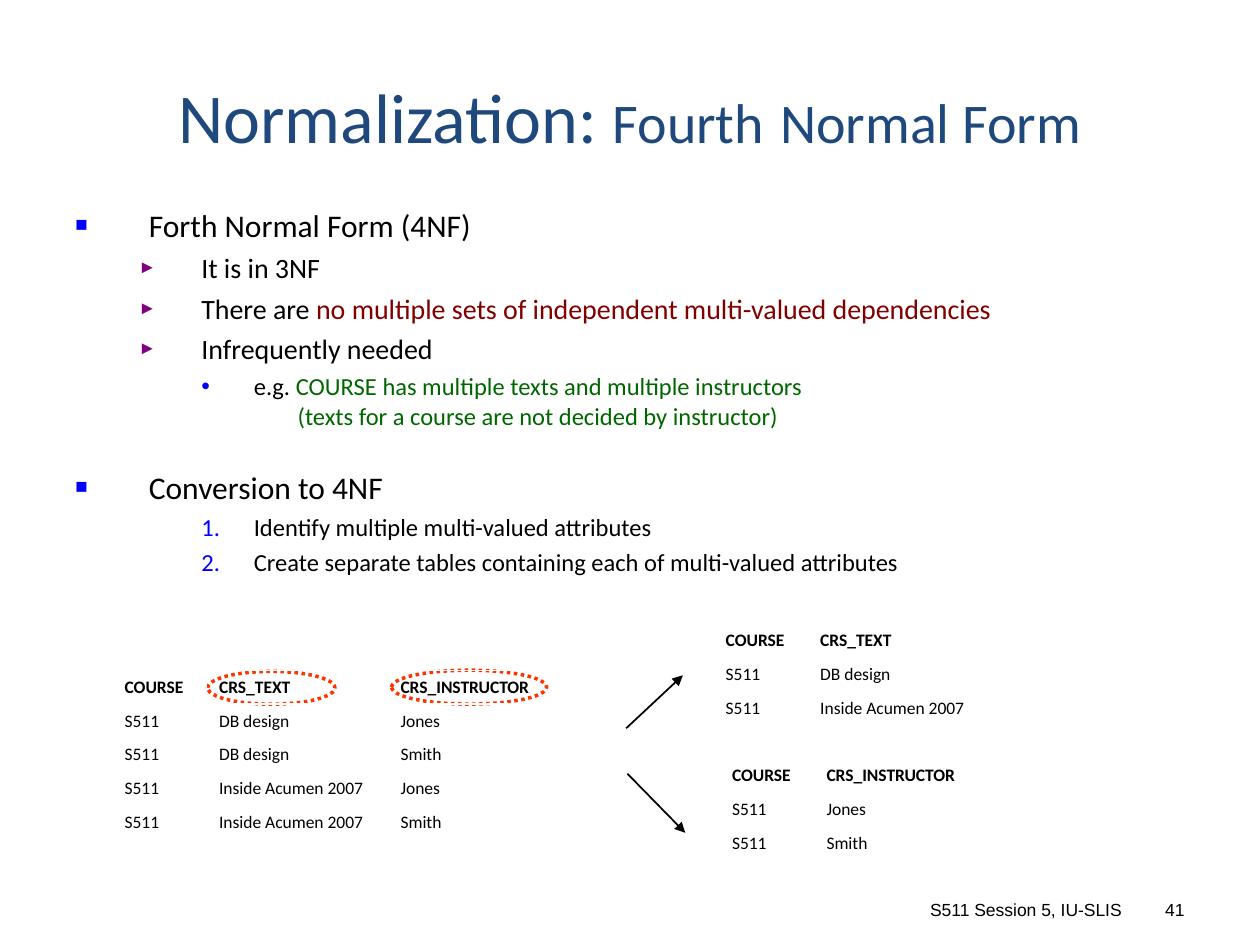
from lxml.etree import SubElement as Sub
from pptx import Presentation
from pptx.dml.color import RGBColor
from pptx.enum.dml import MSO_LINE as Dash
from pptx.enum.shapes import MSO_CONNECTOR as Link, MSO_SHAPE as Shape
from pptx.enum.text import MSO_ANCHOR as Anchor, PP_ALIGN as Align
from pptx.oxml.ns import qn
from pptx.util import Pt

BLACK = RGBColor(0x00, 0x00, 0x00)
WHITE = RGBColor(0xFF, 0xFF, 0xFF)
NAVY = RGBColor(0x1F, 0x49, 0x7D)
BLUE = RGBColor(0x00, 0x00, 0xFF)
PURPLE = RGBColor(0x80, 0x00, 0x80)
MAROON = RGBColor(0x80, 0x00, 0x00)
GREEN = RGBColor(0x00, 0x66, 0x00)
RED = RGBColor(0xFF, 0x33, 0x00)

ROW = 19.4
THIN, THICK = 0.45, 1.47

# Outline styles: level, left margin, hanging indent, space before, size,
# bullet, bullet colour, bullet size in percent
STYLES = {
    "head": (0, 42, 42, 4.5, 18, "■", BLUE, 65),
    "point": (1, 72, 36, 4, 16, "►", PURPLE, 65),
    "note": (2, 102, 30, 3.5, 14, "•", BLUE, 100),
    "more": (2, 127, 0, 0, 14, None, None, None),
    "step": (2, 102, 30, 3.5, 14, "1.", BLUE, 100),
}

OUTLINE = [
    ("head", [("Forth Normal Form (4NF)", BLACK)]),
    ("point", [("It is in 3NF", BLACK)]),
    ("point", [("There are ", BLACK),
               ("no multiple sets of independent multi-valued dependencies", MAROON)]),
    ("point", [("Infrequently needed", BLACK)]),
    ("note", [("e.g. ", BLACK),
              ("COURSE has multiple texts and multiple instructors", GREEN)]),
    ("more", [("(texts for a course are not decided by instructor)", GREEN)]),
    ("head", [("Conversion to 4NF", BLACK)]),
    ("step", [("Identify multiple multi-valued attributes", BLACK)]),
    ("step", [("Create separate tables containing each of multi-valued attributes", BLACK)]),
]

BOOKS = ["DB design", "Inside Acumen 2007"]
STAFF = ["Jones", "Smith"]


def write(para, text, size=10, color=BLACK, font="Calibri", bold=False):
    run = para.add_run()
    run.text = text
    face = run.font
    face.size, face.name, face.bold = Pt(size), font, bold
    face.color.rgb = color


def frame(slide, box, anchor=Anchor.TOP):
    """Add a wrapping text box and return its text frame."""
    body = slide.shapes.add_textbox(*map(Pt, box)).text_frame
    body.word_wrap = True
    body.vertical_anchor = anchor
    return body


def title(slide, box):
    para = frame(slide, box, Anchor.MIDDLE).paragraphs[0]
    para.alignment = Align.CENTER
    for text, size in (("Normalization: ", 40), ("Fourth", 32),
                       (" ", 40), ("Normal Form", 32)):
        write(para, text, size=size, color=NAVY)


def bullet(props, mark, color, scale):
    """Give a paragraph a character bullet, or a number for the mark 1."""
    tint = Sub(props, qn("a:buClr"))
    Sub(tint, qn("a:srgbClr"), val=str(color))
    Sub(props, qn("a:buSzPct"), val=str(scale * 1000))
    Sub(props, qn("a:buFont"), typeface="Calibri" if mark == "1." else "Arial")
    if mark == "1.":
        Sub(props, qn("a:buAutoNum"), type="arabicPeriod")
    else:
        Sub(props, qn("a:buChar"), char=mark)


def outline(slide, box):
    body = frame(slide, box)
    last = None
    for i, (style, runs) in enumerate(OUTLINE):
        para = body.add_paragraph() if i else body.paragraphs[0]
        level, left, hang, before, size, mark, color, scale = STYLES[style]
        if last == "more":
            before += 17.1  # one line of the example's text
        para.level = level
        para.space_before = Pt(before)
        props = para._p.get_or_add_pPr()
        props.set("marL", str(Pt(left)))
        props.set("indent", str(Pt(-hang)))
        if mark:
            bullet(props, mark, color, scale)
        for text, shade in runs:
            write(para, text, size=size, color=shade)
        last = style


def border(cell, row):
    """Draw white borders, with a thick rule under the header row."""
    props = cell._tc.get_or_add_tcPr()
    widths = {"L": THIN, "R": THIN,
              "T": THICK if row == 1 else THIN,
              "B": THICK if row == 0 else THIN}
    for i, (side, width) in enumerate(widths.items()):
        line = Sub(props, qn("a:ln" + side), w=str(Pt(width)))
        fill = Sub(line, qn("a:solidFill"))
        Sub(fill, qn("a:srgbClr"), val=str(WHITE))
        props.insert(i, line)


def grid(slide, left, top, widths, rows):
    table = slide.shapes.add_table(
        len(rows), len(widths), Pt(left), Pt(top),
        Pt(sum(widths)), Pt(ROW * len(rows))).table
    table.first_row = table.horz_banding = False
    for col, width in zip(table.columns, widths):
        col.width = Pt(width)
    for r, texts in enumerate(rows):
        table.rows[r].height = Pt(ROW)
        for c, text in enumerate(texts):
            cell = table.cell(r, c)
            cell.fill.background()
            border(cell, r)
            write(cell.text_frame.paragraphs[0], text, bold=r == 0)


def ring(slide, box):
    oval = slide.shapes.add_shape(Shape.OVAL, *map(Pt, box))
    oval.shadow.inherit = False
    oval.fill.background()
    oval.line.color.rgb = RED
    oval.line.width = Pt(2)
    oval.line.dash_style = Dash.ROUND_DOT


def arrow(slide, *ends):
    link = slide.shapes.add_connector(Link.STRAIGHT, *map(Pt, ends))
    link.line.color.rgb = BLACK
    link.line.width = Pt(1)
    Sub(link.line._get_or_add_ln(), qn("a:tailEnd"), type="triangle")
    Sub(link._element.spPr, qn("a:effectLst"))


def split(slide, box):
    """Show the course table and the two tables it is split into."""
    x, y, width, height = box
    wide = [54, 103.7, 105.1]
    pair = wide[:2]
    left, top = x, y + 26.6
    right = x + width - sum(pair)

    arrow(slide, x + 293.8, y + 59.8, x + 326.2, y + 29.5)
    arrow(slide, x + 294.5, y + 85.7, x + 327.6, y + 119.5)
    ring(slide, (left + 54.7, top + 0.7, 72.7, 18.7))
    ring(slide, (left + 159.8, top, 88.6, 19.4))

    full = [("S511", book, name) for book in BOOKS for name in STAFF]
    grid(slide, left, top, wide, [("COURSE", "CRS_TEXT", "CRS_INSTRUCTOR")] + full)
    for head, items, dx, dy in (("CRS_TEXT", BOOKS, -3.6, 0),
                                ("CRS_INSTRUCTOR", STAFF, 0, height - 3 * ROW)):
        rows = [("COURSE", head)] + [("S511", item) for item in items]
        grid(slide, right + dx, y + dy, pair, rows)


def footer(slide, box):
    left, top, width, height = box
    num = 30
    for text, x, w in (("S511 Session 5, IU-SLIS", left, width - num - 6),
                       ("41", left + width - num, num)):
        para = frame(slide, (x, top, w, height), Anchor.BOTTOM).paragraphs[0]
        para.alignment = Align.RIGHT
        write(para, text, font="Arial")


def main():
    deck = Presentation()
    deck.slide_width, deck.slide_height = Pt(720), Pt(540)
    slide = deck.slides.add_slide(deck.slide_layouts[6])
    footer(slide, (492, 510, 192, 19.2))
    title(slide, (36, 30, 648, 72))
    outline(slide, (36, 114, 648, 221))
    split(slide, (64, 356.4, 504.8, 135.2))
    deck.save("out.pptx")


if __name__ == "__main__":
    main()
